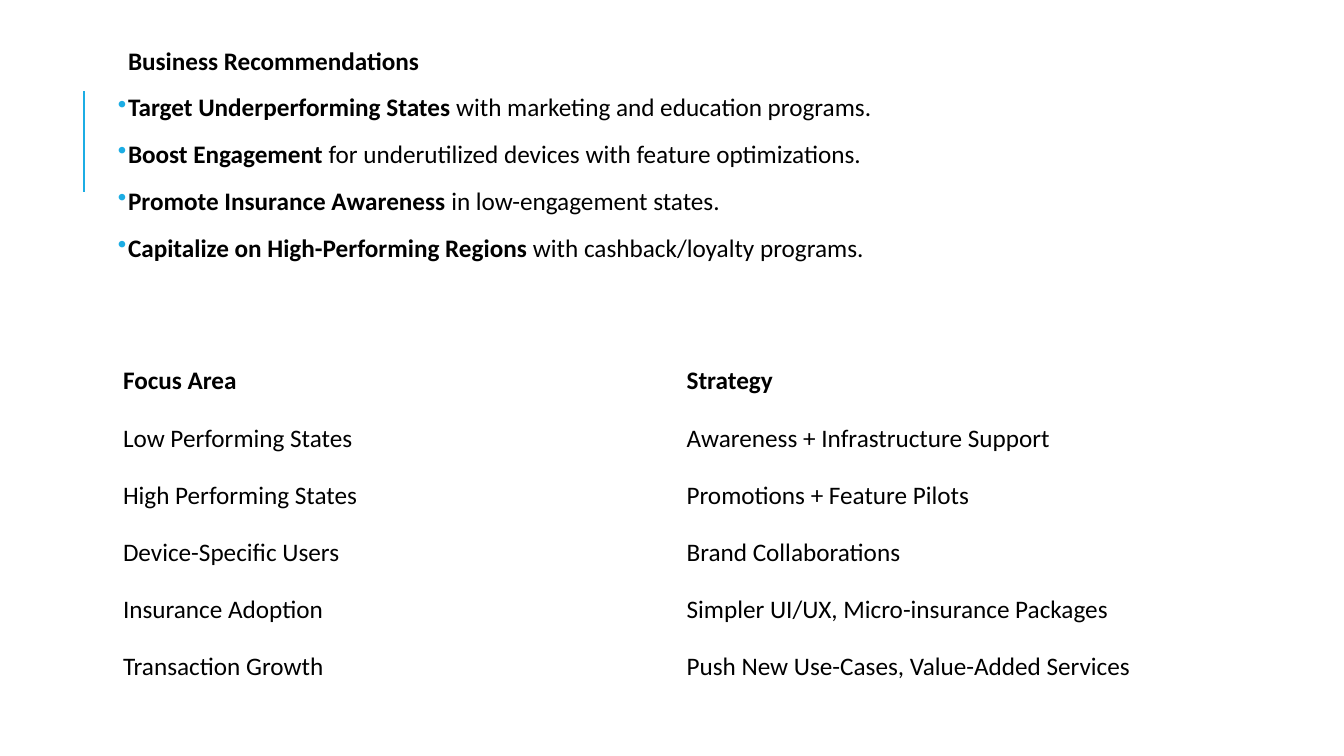
from lxml.etree import SubElement
from pptx import Presentation
from pptx.dml.color import RGBColor
from pptx.enum.shapes import MSO_CONNECTOR
from pptx.enum.text import MSO_ANCHOR
from pptx.oxml.ns import qn
from pptx.util import Inches, Pt

ACCENT = "1CADE4"
BLACK = "000000"


def rgb(value):
    return RGBColor.from_string(value)


def style(r, bold):
    r.font.name = "Calibri"
    r.font.size = Pt(18)
    r.font.bold = bold
    r.font.color.rgb = rgb(BLACK)


prs = Presentation()
prs.slide_width = Inches(13.33)
prs.slide_height = Inches(7.5)
s = prs.slides.add_slide(prs.slide_layouts[6])

# Accent line
line = s.shapes.add_connector(MSO_CONNECTOR.STRAIGHT, Inches(0.83), Inches(1.9), Inches(0.83), Inches(0.9))
line.line.color.rgb = rgb(ACCENT)
line.line.width = Pt(1.5)
SubElement(line._element.spPr, qn("a:effectLst"))

# Recommendations: bold lead, then plain text
recommendations = [
    ("Business Recommendations", ""),
    ("Target Underperforming States", " with marketing and education programs."),
    ("Boost Engagement", " for underutilized devices with feature optimizations."),
    ("Promote Insurance Awareness", " in low-engagement states."),
    ("Capitalize on High-Performing Regions", " with cashback/loyalty programs."),
]
sp = s.shapes.add_textbox(Inches(1.12), Inches(0.43), Inches(10.63), Inches(6.47))
tf = sp.text_frame
tf.word_wrap = True
tf.margin_left = tf.margin_right = tf.margin_top = tf.margin_bottom = Inches(0.05)
for i, (lead, detail) in enumerate(recommendations):
    p = tf.add_paragraph() if i else tf.paragraphs[0]
    p.line_spacing = 0.9
    p.space_before = Pt(12)
    p.space_after = Pt(2)
    for text, bold in ((lead, True), (detail, False)):
        if text:
            r = p.add_run()
            r.text = text
            style(r, bold)

    # Hanging indent, with a bullet on all but the heading
    pPr = p._p.get_or_add_pPr()
    pPr.set("marL", str(Inches(0.1)))
    if detail:
        pPr.set("indent", str(Inches(-0.1)))
        SubElement(SubElement(pPr, qn("a:buClr")), qn("a:srgbClr"), val=ACCENT)
        SubElement(pPr, qn("a:buChar"), char="•")
    else:
        pPr.set("indent", "0")
        SubElement(pPr, qn("a:buNone"))

# Strategy table
strategies = [
    ("Focus Area", "Strategy"),
    ("Low Performing States", "Awareness + Infrastructure Support"),
    ("High Performing States", "Promotions + Feature Pilots"),
    ("Device-Specific Users", "Brand Collaborations"),
    ("Insurance Adoption", "Simpler UI/UX, Micro-insurance Packages"),
    ("Transaction Growth", "Push New Use-Cases, Value-Added Services"),
]
table = s.shapes.add_table(len(strategies), 2, Inches(1.12), Inches(3.5), Inches(11.18), Inches(3.4)).table
table.horz_banding = False
table.first_row = False
for i, row in enumerate(strategies):
    for j, text in enumerate(row):
        cell = table.cell(i, j)
        cell.fill.background()
        cell.vertical_anchor = MSO_ANCHOR.MIDDLE
        cell.text_frame.text = text
        style(cell.text_frame.paragraphs[0].runs[0], i == 0)

prs.save("out.pptx")
